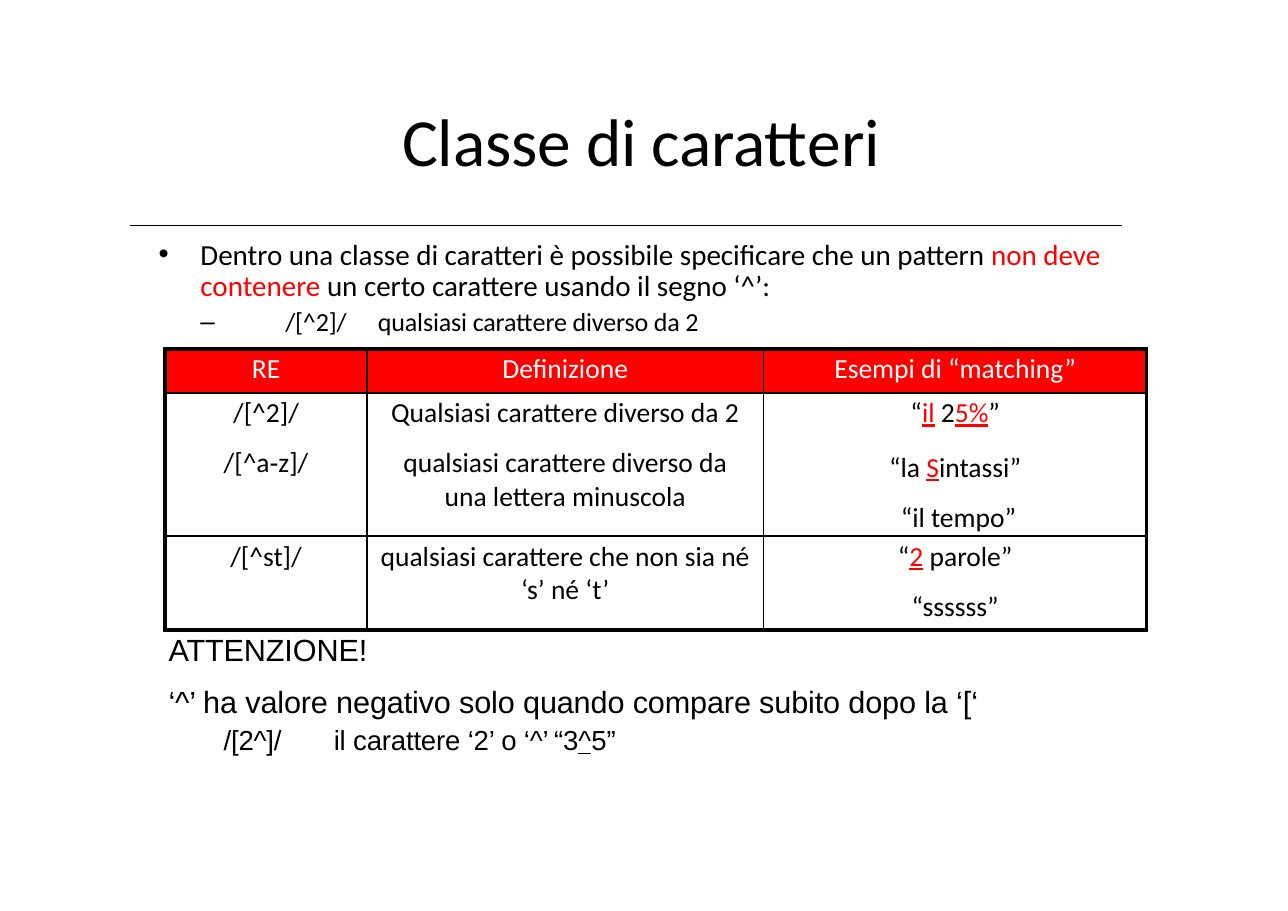
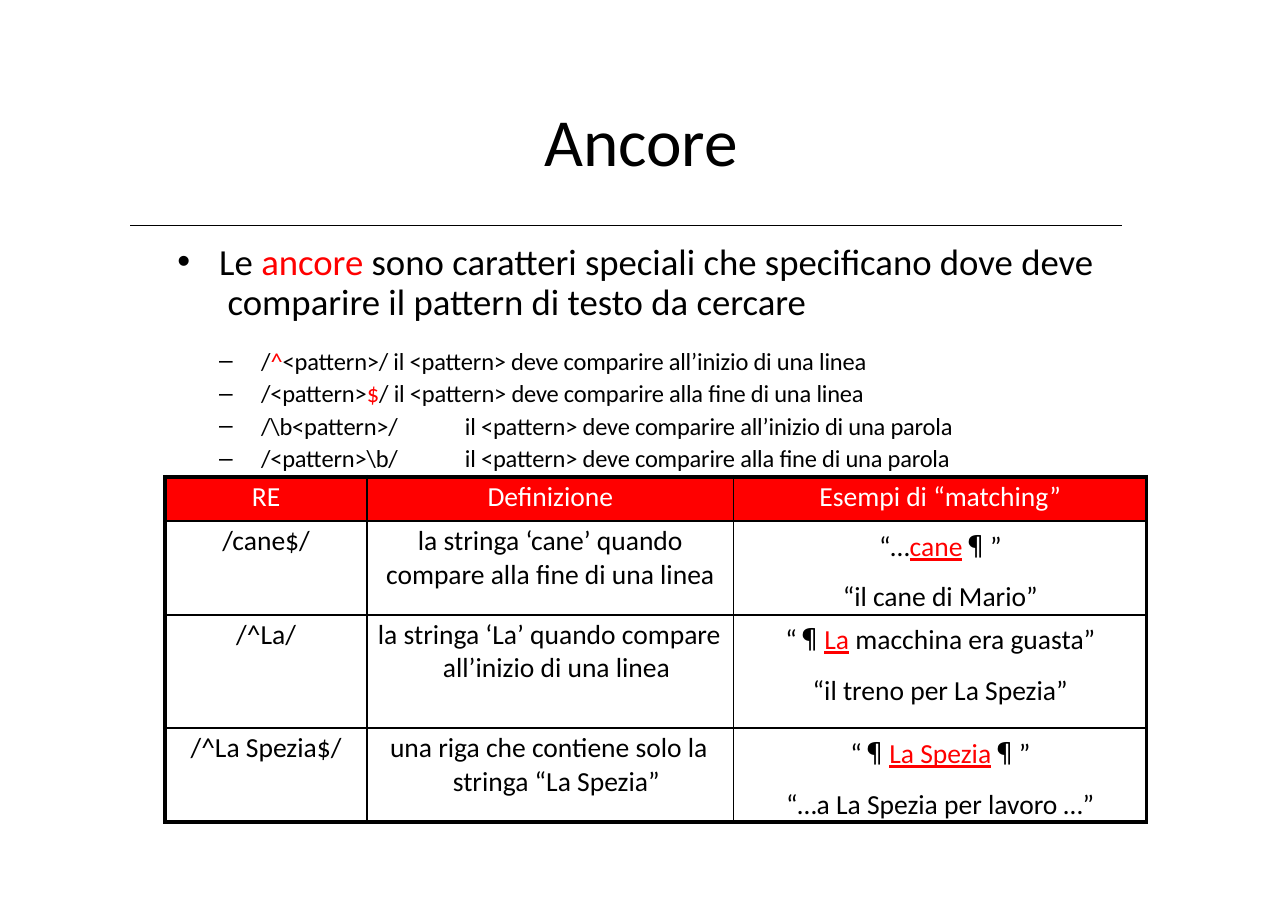
from dataclasses import dataclass

from lxml.etree import SubElement
from pptx import Presentation
from pptx.dml.color import RGBColor
from pptx.enum.shapes import MSO_CONNECTOR
from pptx.enum.text import PP_ALIGN
from pptx.oxml.ns import qn
from pptx.util import Inches, Pt


@dataclass(frozen=True)
class Theme:
    ink: str = "000000"
    accent: str = "FF0000"
    paper: str = "FFFFFF"
    font: str = "Calibri"
    note_font: str = "Arial"
    mark_font: str = "Noto Sans CJK JP"
    title: int = 44
    lead: int = 24
    note: int = 20
    body: int = 19
    cell: int = 18
    sub: int = 17
    item: int = 16
    outer: float = 3
    right: float = 2.25
    row_rule: float = 1.5
    col_rule: float = 1


T = Theme()
HEADER = ["RE", "Definizione", "Esempi di “matching”"]
TABLE_LEFT = 1.5
MARK = ("¶", dict(font=T.mark_font))


def red(text):
    return text, dict(color=T.accent)


def match(text):
    return text, dict(color=T.accent, underline=True)


def para(*runs, **fmt):
    return runs, fmt


def style_run(r, font=T.font, size=T.cell, color=T.ink, underline=None, spc=0):
    f = r.font
    f.name, f.size, f.underline = font, Pt(size), underline
    f.color.rgb = RGBColor.from_string(color)
    if spc:
        r._r.get_or_add_rPr().set("spc", str(round(spc * 100)))


def add_text(tf, runs, align=PP_ALIGN.LEFT, before=0, line=None, left=0,
             first=0, bullet=None, tabs=(), **run_fmt):
    """Append a paragraph; a run is a string or a (string, format) pair."""
    p = tf.paragraphs[0]
    if p.runs:
        p = tf.add_paragraph()
    p.alignment, p.space_before = align, Pt(before)
    if line:
        p.line_spacing = Pt(line)
    pPr = p._p.get_or_add_pPr()
    pPr.set("marL", str(Inches(left)))
    pPr.set("indent", str(Inches(first)))
    if bullet:
        SubElement(pPr, qn("a:buFont"), typeface=T.note_font)
        SubElement(pPr, qn("a:buChar"), char=bullet)
    else:
        SubElement(pPr, qn("a:buNone"))
    if tabs:
        tab_list = SubElement(pPr, qn("a:tabLst"))
        for pos in tabs:
            SubElement(tab_list, qn("a:tab"), pos=str(Inches(pos)), algn="l")
    for run in runs:
        text, own = (run, {}) if isinstance(run, str) else run
        for i, part in enumerate(text.split("\n")):
            if i:
                p.add_line_break()
            if part:
                r = p.add_run()
                r.text = part
                style_run(r, **{**run_fmt, **own})


def text_box(s, box, paras, top=0, **fmt):
    tf = s.shapes.add_textbox(*map(Inches, box)).text_frame
    tf.word_wrap = True
    tf.margin_left = tf.margin_right = tf.margin_bottom = 0
    tf.margin_top = Inches(top)
    for runs, own in paras:
        add_text(tf, runs, **{**fmt, **own})


def titled_slide(prs, title):
    s = prs.slides.add_slide(prs.slide_layouts[6])
    text_box(s, (1.6, 0.89, 8.44, 0.76), [para(title)], top=0.01,
             align=PP_ALIGN.CENTER, size=T.title, spc=-0.1)
    rule = s.shapes.add_connector(MSO_CONNECTOR.STRAIGHT, Inches(1.18),
                                  Inches(2.05), Inches(10.18), Inches(2.05))
    rule.line.color.rgb = RGBColor.from_string(T.ink)
    rule.line.width = Pt(0.5)
    SubElement(rule._element.spPr, qn("a:effectLst"))
    return s


def border(cell, **widths):
    tcPr = cell._tc.get_or_add_tcPr()
    for i, (side, width) in enumerate(widths.items()):
        ln = SubElement(tcPr, qn("a:ln" + side), w=str(Pt(width)))
        fill = SubElement(ln, qn("a:solidFill"))
        SubElement(fill, qn("a:srgbClr"), val=T.ink)
        tcPr.remove(ln)
        tcPr.insert(i, ln)


def regex_table(s, top, widths, heights, body):
    """Red header row over body rows; each cell is a list of paragraphs."""
    rows = [[[para(h, color=T.paper)] for h in HEADER]] + body
    box = (TABLE_LEFT, top, sum(widths), sum(heights))
    table = s.shapes.add_table(len(rows), len(widths),
                               *map(Inches, box)).table
    for col, width in zip(table.columns, widths):
        col.width = Inches(width)
    last_row, last_col = len(rows) - 1, len(widths) - 1
    for i, row in enumerate(rows):
        table.rows[i].height = Inches(heights[i])
        for j, paras in enumerate(row):
            cell = table.cell(i, j)
            cell.margin_left = cell.margin_right = cell.margin_bottom = 0
            cell.margin_top = Inches(0.03)
            cell.fill.solid()
            cell.fill.fore_color.rgb = RGBColor.from_string(
                T.paper if i else T.accent)
            border(cell, L=T.col_rule if j else T.outer,
                   R=T.right if j == last_col else T.col_rule,
                   T=T.row_rule if i else T.outer,
                   B=T.outer if i == last_row else T.row_rule)
            for k, (runs, own) in enumerate(paras):
                fmt = dict(align=PP_ALIGN.CENTER, before=10.8 if k else 2.5)
                add_text(cell.text_frame, runs, **{**fmt, **own})


def hanging(text, left, first):
    return para(text, align=PP_ALIGN.LEFT, left=left, first=first)


def class_slide(prs):
    s = titled_slide(prs, "Classe di caratteri")
    text_box(s, (1.43, 2.13, 8.64, 0.94), [
        para("Dentro una classe di caratteri è possibile specificare che un "
             "pattern ", red("non deve contenere"),
             " un certo carattere usando il segno ‘^’:", size=T.body,
             line=20.5, before=3.6, left=0.39, first=-0.38, bullet="•"),
        para("/[^2]/\tqualsiasi carattere diverso da 2", size=T.sub, spc=-0.1,
             before=1.8, left=1.16, first=-0.77, bullet="–", tabs=[1.24]),
    ], top=0.05)
    regex_table(s, 3.17, [1.83, 3.6, 3.48], [0.4, 1.3, 0.85], [
        [[para("/[^2]/"), para("/[^a‐z]/")],
         [para("Qualsiasi carattere diverso da 2"),
          para("qualsiasi carattere diverso da\nuna lettera minuscola")],
         [para("“", match("il"), " 2", match("5%"), "”"),
          para("“la ", match("S"), "intassi”", before=13.5),
          para("“il tempo”", left=0.06)]],
        [[para("/[^st]/")],
         [para("qualsiasi carattere che non sia né\n‘s’ né ‘t’")],
         [para("“", match("2"), " parole”"), para("“ssssss”")]],
    ])
    text_box(s, (1.52, 5.58, 8.2, 1.29), [
        para("ATTENZIONE!", before=10.6),
        para("‘^’ ha valore negativo solo quando compare subito dopo la ‘[‘",
             before=9.6),
        para("/[2^]/\til carattere ‘2’ o ‘^’\t“3", ("^", dict(underline=True)),
             "5”", size=T.cell, before=2.2, left=0.51, tabs=[2.01, 5.01]),
    ], top=0.15, left=0.01, font=T.note_font, size=T.note, spc=-0.1)


def anchor_slide(prs):
    s = titled_slide(prs, "Ancore")
    text_box(s, (1.6, 2.15, 8.6, 0.79), [
        para("Le ", red("ancore"), " sono caratteri speciali che specificano "
             "dove deve\n comparire il pattern di testo da cercare"),
    ], top=0.06, size=T.lead, line=25.9, before=4.2, left=0.39, first=-0.38,
        bullet="•")
    text_box(s, (1.98, 3.1, 7.5, 1.21), [
        para("/", red("^"), "<pattern>/ il <pattern> deve comparire "
             "all’inizio di una linea", before=3),
        para("/<pattern>", red("$"),
             "/ il <pattern> deve comparire alla fine di una linea"),
        para("/\\b<pattern>/\til <pattern> deve comparire all’inizio di una "
             "parola"),
        para("/<pattern>\\b/\til <pattern> deve comparire alla fine di una "
             "parola"),
    ], top=0.04, size=T.item, spc=-0.1, before=2, left=0.39, first=-0.38,
        bullet="–", tabs=[2.24])
    regex_table(s, 4.33, [1.83, 3.33, 3.75], [0.4, 0.85, 1.03, 0.85], [
        [[para("/cane$/")],
         [para("la stringa ‘cane’ quando\ncompare alla fine di una linea")],
         [para("“…", match("cane"), MARK, "”"),
          para("“il cane di Mario”")]],
        [[para("/^La/")],
         [hanging("la stringa ‘La’ quando compare\nall’inizio di una linea",
                  0.69, -0.59)],
         [para("“", MARK, match("La"), " macchina era guasta”"),
          para("“il treno per La Spezia”")]],
        [[para("/^La Spezia$/")],
         [hanging("una riga che contiene solo la\nstringa “La Spezia”",
                  0.78, -0.57)],
         [para("“", MARK, match("La Spezia"), MARK, "”"),
          para("“…a La Spezia per lavoro …”")]],
    ])


def main():
    prs = Presentation()
    prs.slide_width, prs.slide_height = Inches(11.69), Inches(8.27)
    class_slide(prs)
    anchor_slide(prs)
    prs.save("out.pptx")


if __name__ == "__main__":
    main()
